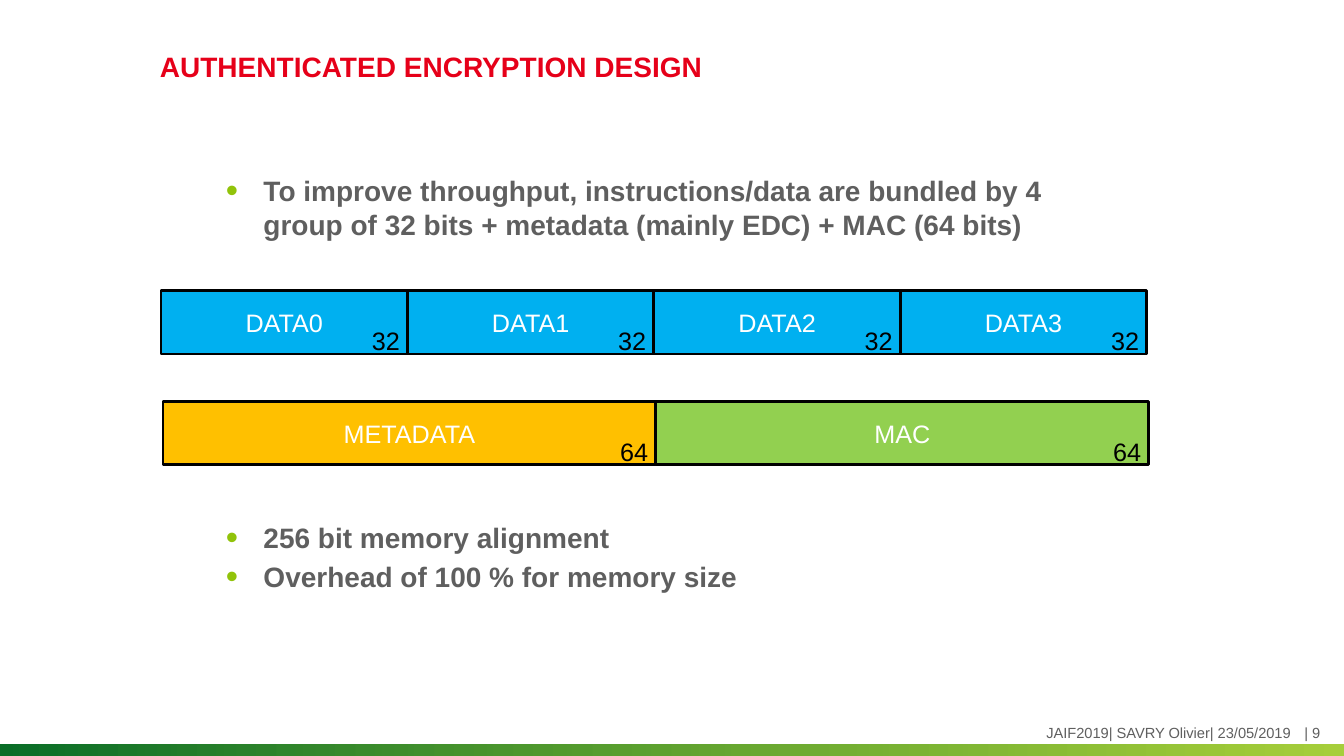
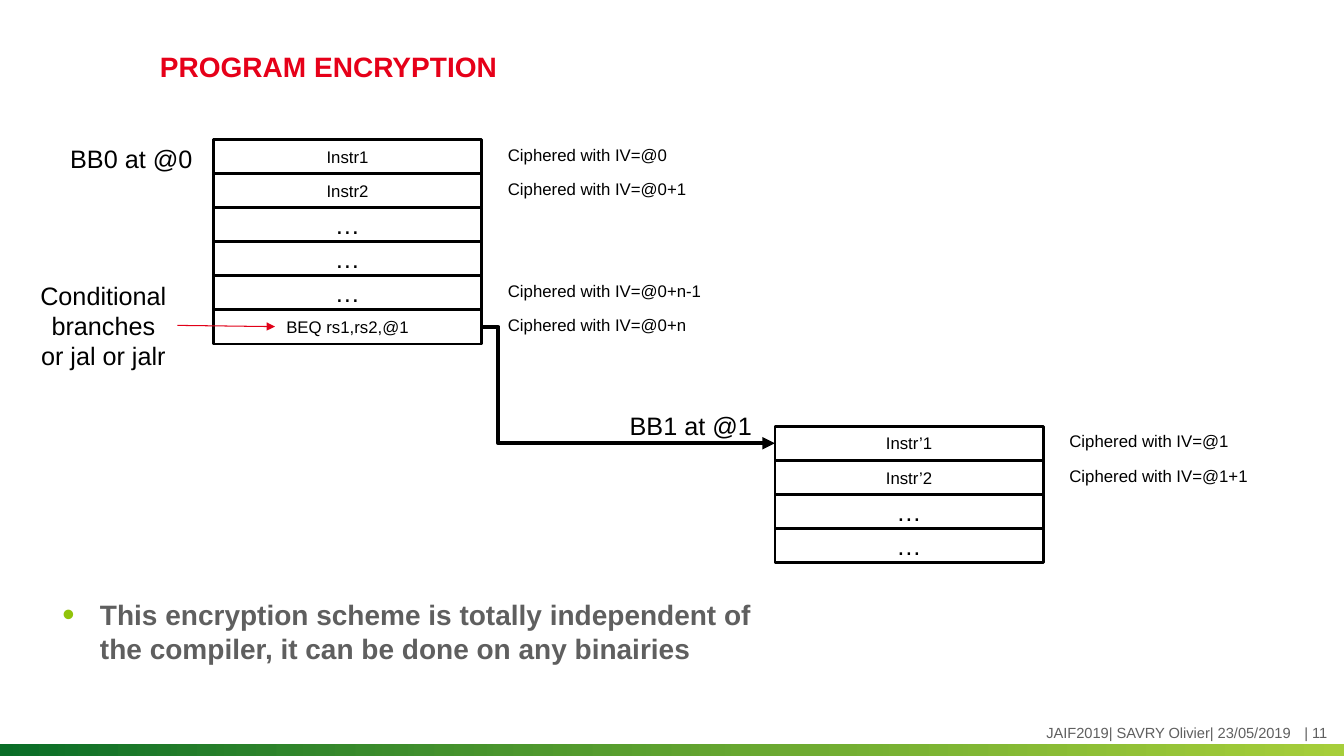
from lxml import etree
from pptx import Presentation
from pptx.dml.color import RGBColor
from pptx.enum.shapes import MSO_CONNECTOR, MSO_SHAPE
from pptx.enum.text import MSO_ANCHOR, MSO_AUTO_SIZE, PP_ALIGN
from pptx.oxml.ns import qn
from pptx.util import Cm, Pt

LEFT, CENTER, RIGHT = PP_ALIGN.LEFT, PP_ALIGN.CENTER, PP_ALIGN.RIGHT
TOP, MIDDLE = MSO_ANCHOR.TOP, MSO_ANCHOR.MIDDLE
NO_FIT = MSO_AUTO_SIZE.NONE
RECT = MSO_SHAPE.RECTANGLE
STRAIGHT, ELBOW = MSO_CONNECTOR.STRAIGHT, MSO_CONNECTOR.ELBOW
LEFT_SITE, RIGHT_SITE = 1, 3

FONT = "Arial"
BLACK, WHITE, GREY = "000000", "FFFFFF", "5F5F5F"
RED, ARROW_RED = "E60019", "E10018"
DARK_GREEN, GREEN = "0A6E28", "91C30A"
BLUE, AMBER, LIME = "00B0F0", "FFC000", "92D050"

SLIDE_W, SLIDE_H = 33.87, 19.05
BAND_H = 0.3
FOOTER = "JAIF2019| SAVRY Olivier| 23/05/2019"
ROW_H = 0.86


def rgb(color):
    return RGBColor.from_string(color)


def sub(parent, tag, **attrs):
    return etree.SubElement(parent, qn(tag), attrs)


def style(p, size, color, bold=False, align=LEFT):
    p.alignment = align
    for r in p.runs:
        r.font.name = FONT
        r.font.size = Pt(size)
        r.font.bold = bold
        r.font.color.rgb = rgb(color)


def place(sp, x, y, w, h):
    sp.left, sp.top, sp.width, sp.height = Cm(x), Cm(y), Cm(w), Cm(h)


def flush(tf, anchor):
    tf.auto_size = NO_FIT
    tf.word_wrap = True
    tf.vertical_anchor = anchor
    tf.margin_left = tf.margin_right = tf.margin_top = tf.margin_bottom = 0


def add_text(slide, text, x, y, w, h, size=18, color=BLACK, align=LEFT):
    tf = slide.shapes.add_textbox(Cm(x), Cm(y), Cm(w), Cm(h)).text_frame
    tf.word_wrap = True
    tf.text = text
    style(tf.paragraphs[0], size, color, align=align)
    return tf


def add_cell(slide, text, x, y, w, h, fill, color, size=18):
    sp = slide.shapes.add_shape(RECT, Cm(x), Cm(y), Cm(w), Cm(h))
    sp.shadow.inherit = False
    sp.fill.solid()
    sp.fill.fore_color.rgb = rgb(fill)
    sp.line.color.rgb = rgb(BLACK)
    sp.line.width = Pt(2)
    tf = sp.text_frame
    tf.vertical_anchor = MIDDLE
    tf.text = text
    style(tf.paragraphs[0], size, color, align=CENTER)
    return sp


def add_arrow(slide, kind, x1, y1, x2, y2, color, width):
    line = slide.shapes.add_connector(kind, Cm(x1), Cm(y1), Cm(x2), Cm(y2))
    line.line.color.rgb = rgb(color)
    line.line.width = Pt(width)
    sub(line.line._get_or_add_ln(), "a:tailEnd", type="triangle")
    sub(line._element.spPr, "a:effectLst")
    return line


def add_band(slide):
    band = slide.shapes.add_shape(RECT, 0, Cm(SLIDE_H - BAND_H), Cm(SLIDE_W), Cm(BAND_H))
    band.shadow.inherit = False
    band.line.fill.background()
    band.fill.gradient()
    band.fill.gradient_angle = 0
    for stop, color in zip(band.fill.gradient_stops, (DARK_GREEN, GREEN)):
        stop.color.rgb = rgb(color)
    last_color = band._element.spPr.findall(".//" + qn("a:srgbClr"))[-1]
    sub(last_color, "a:alpha", val="80000")


def add_footer(slide, number):
    add_band(slide)
    y, h = 18.24, 0.46
    flush(add_text(slide, FOOTER, 0.41, y, 32.13, h, 10.5, GREY, RIGHT), MIDDLE)
    flush(add_text(slide, f"| {number}", 32.87, y, 1, h, 10.5, GREY), MIDDLE)


def new_slide(prs, title, number):
    slide = prs.slides.add_slide(prs.slide_layouts[1])
    sp = slide.shapes.title
    place(sp, 4.03, 0.53, 28.8, 2.26)
    flush(sp.text_frame, MIDDLE)
    sp.text_frame.text = title
    style(sp.text_frame.paragraphs[0], 20, RED, bold=True)
    add_footer(slide, number)
    return slide


def fill_body(slide, items, x, y, w, h):
    sp = slide.placeholders[1]
    place(sp, x, y, w, h)
    tf = sp.text_frame
    flush(tf, TOP)
    for i, (text, before) in enumerate(items):
        p = tf.add_paragraph() if i else tf.paragraphs[0]
        p.text = text
        pPr = p._p.get_or_add_pPr()
        pPr.set("marL", str(Cm(0.95)))
        pPr.set("indent", str(-Cm(0.95)))
        sub(sub(pPr, "a:buClr"), "a:srgbClr", val=GREEN)
        sub(pPr, "a:buSzPct", val="125000")
        sub(pPr, "a:buFont", typeface=FONT)
        sub(pPr, "a:buChar", char="•")
        p.space_before = Pt(before)
        p.space_after = Pt(4)
        style(p, 20, GREY, bold=True)


def add_word_row(slide, fields, bits, x, y, w=24.84, h=1.6):
    cell_w = w / len(fields)
    for i, (name, fill) in enumerate(fields):
        left = x + i * cell_w
        add_cell(slide, name, left, y, cell_w, h, fill, WHITE)
    for i in range(len(fields)):
        right = x + (i + 1) * cell_w
        add_text(slide, bits, right - 1.15, y + 0.76, 1.5, 1.02)


def add_basic_block(slide, rows, x, y, w=6.76):
    cells = []
    for i, (text, note) in enumerate(rows):
        top = y + i * ROW_H
        size = 18 if text == "…" else 12
        cells.append(add_cell(slide, text, x, top, w, ROW_H, WHITE, BLACK, size))
        if note:
            add_text(slide, f"Ciphered with IV={note}", x + w + 0.41, top, 6, 0.76, 12)
    return cells


def add_jump(slide, source, target):
    jump = add_arrow(slide, ELBOW, 0, 0, 1, 1, BLACK, 3)
    jump.begin_connect(source, RIGHT_SITE)
    jump.end_connect(target, LEFT_SITE)
    guides = jump._element.spPr.find(".//" + qn("a:avLst"))
    sub(guides, "a:gd", name="adj1", fmla="val 5700")


def encryption_design(prs):
    slide = new_slide(prs, "AUTHENTICATED ENCRYPTION DESIGN", 9)
    fill_body(slide, [
        ("To improve throughput, instructions/data are bundled by 4 group of 32 bits"
         " + metadata (mainly EDC) + MAC (64 bits)", 0),
        ("256 bit memory alignment", 196),
        ("Overhead of 100 % for memory size", 0),
    ], 5.69, 4.37, 21.72, 13.8)
    add_word_row(slide, [(f"DATA{i}", BLUE) for i in range(4)], "32", 4.06, 7.32)
    add_word_row(slide, [("METADATA", AMBER), ("MAC", LIME)], "64", 4.11, 10.11)


def program_encryption(prs):
    slide = new_slide(prs, "PROGRAM ENCRYPTION", 11)
    block0 = add_basic_block(slide, [
        ("Instr1", "@0"), ("Instr2", "@0+1"), ("…", None), ("…", None),
        ("…", "@0+n-1"), ("BEQ rs1,rs2,@1", "@0+n"),
    ], 5.38, 3.51)
    block1 = add_basic_block(slide, [
        ("Instr’1", "@1"), ("Instr’2", "@1+1"), ("…", None), ("…", None),
    ], 19.53, 10.74)
    add_text(slide, "BB0 at @0", 1.52, 3.48, 3.8, 1.02)
    add_text(slide, "BB1 at @1", 15.62, 10.21, 3.8, 1.02)
    add_text(slide, "Conditional branches or jal or jalr", 0.74, 6.93, 3.73, 2.57, align=CENTER)
    add_jump(slide, block0[-1], block1[0])
    add_arrow(slide, STRAIGHT, 4.47, 8.2, 6.93, 8.23, ARROW_RED, 0.75)
    fill_body(slide, [
        ("This encryption scheme is totally independent of the compiler,"
         " it can be done on any binairies", 0),
    ], 1.57, 15.06, 17.75, 1.8)


def main():
    prs = Presentation()
    prs.slide_width, prs.slide_height = Cm(SLIDE_W), Cm(SLIDE_H)
    encryption_design(prs)
    program_encryption(prs)
    prs.save("out.pptx")


if __name__ == "__main__":
    main()
